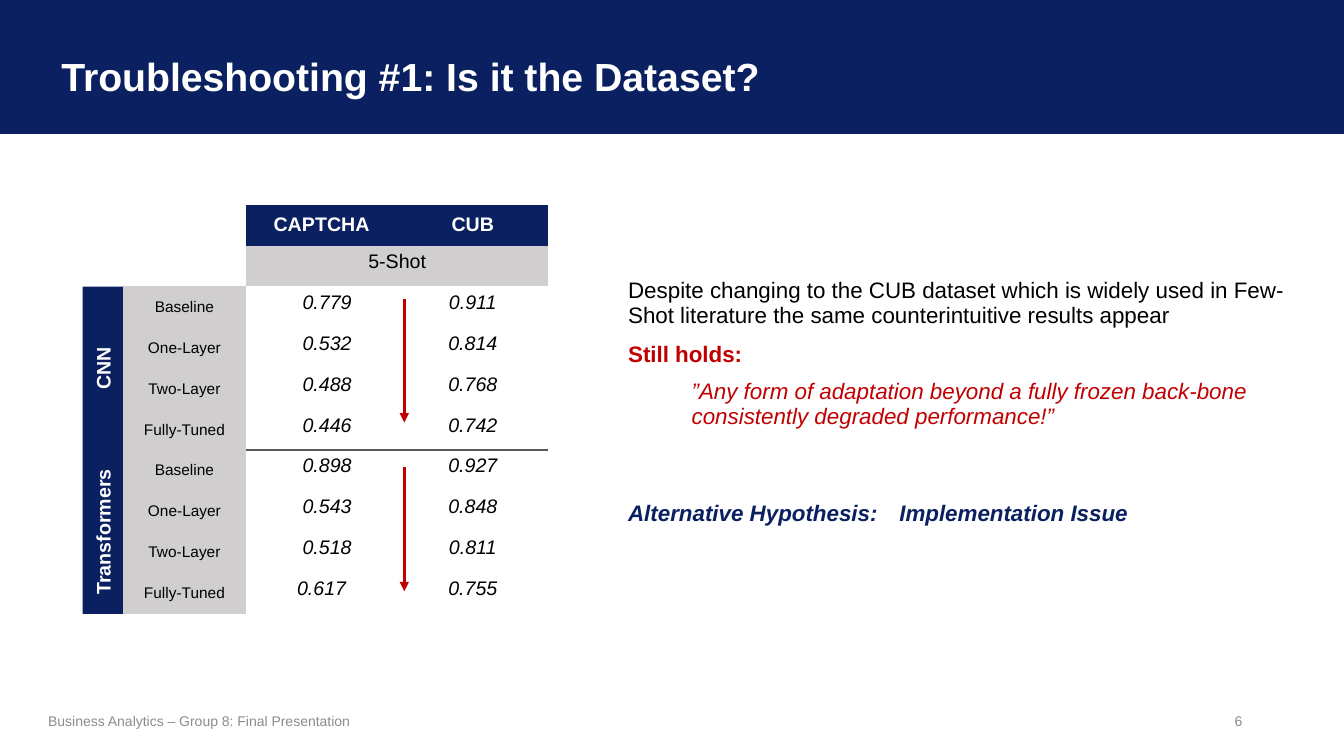
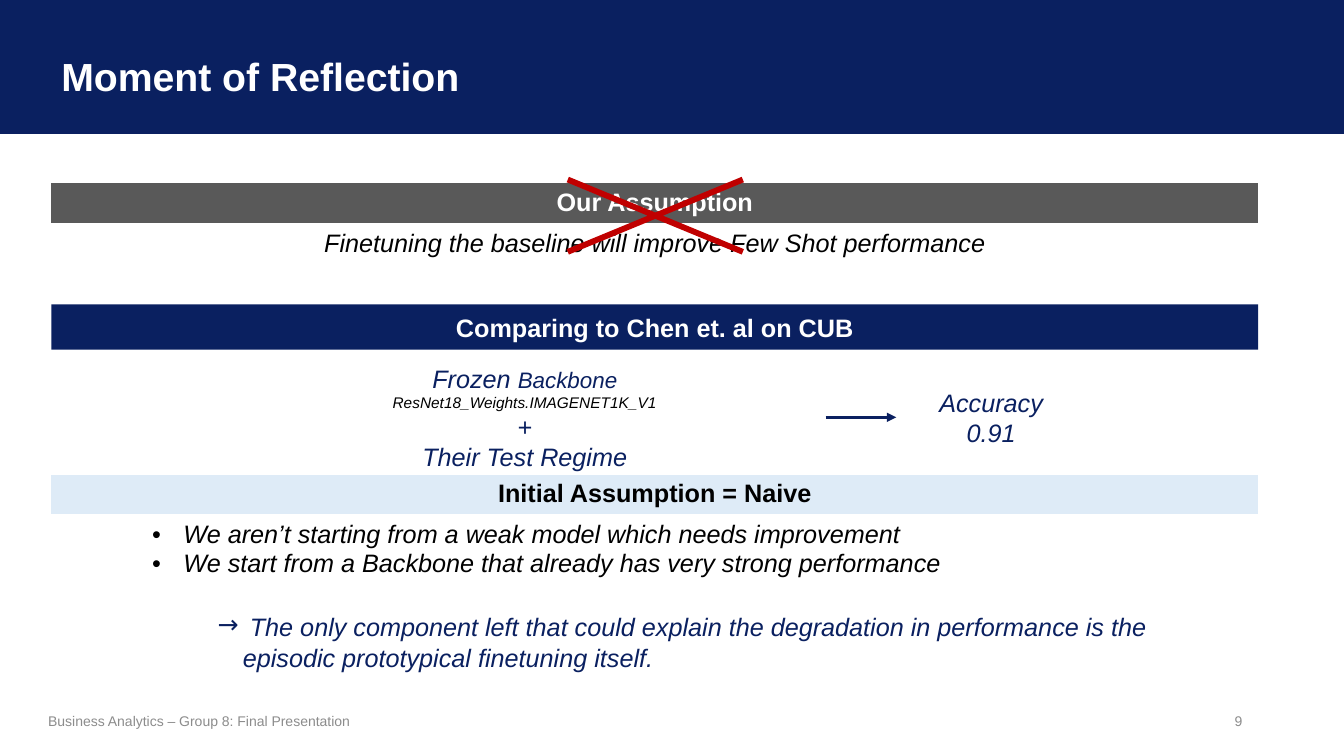
from lxml import etree
from pptx import Presentation
from pptx.dml.color import RGBColor
from pptx.enum import shapes, text
from pptx.oxml import ns
from pptx.util import Inches, Pt

NAVY, RED, WHITE, BLACK = "0A2060", "C00000", "FFFFFF", "000000"
GREY, SILVER, PALE, MUTED = "595959", "D0CECE", "DEEBF7", "8C8C8C"
PLAIN_TABLE = "{2D5ABB26-0587-4C30-8999-92F81FD0307C}"
LEFT, CENTER, RIGHT = text.PP_ALIGN.LEFT, text.PP_ALIGN.CENTER, text.PP_ALIGN.RIGHT
TOP, MIDDLE = text.MSO_ANCHOR.TOP, text.MSO_ANCHOR.MIDDLE
RECT = shapes.MSO_SHAPE.RECTANGLE

RESULTS = [
    ("Baseline", "0.779", "0.911"),
    ("One-Layer", "0.532", "0.814"),
    ("Two-Layer", "0.488", "0.768"),
    ("Fully-Tuned", "0.446", "0.742"),
    ("Baseline", "0.898", "0.927"),
    ("One-Layer", "0.543", "0.848"),
    ("Two-Layer", "0.518", "0.811"),
    ("Fully-Tuned", "0.617", "0.755"),
]


def rgb(value):
    """Turn a hex string into a colour."""
    return RGBColor.from_string(value)


def inches(box):
    """Convert a box of numbers to lengths."""
    return [Inches(value) for value in box]


def child(parent, tag, **attributes):
    """Append a drawing element with the given attributes."""
    return etree.SubElement(parent, ns.qn(tag), attributes)


def style_run(run, size, color, bold=False, italic=False, font="Arial"):
    """Format one run."""
    run.font.size, run.font.name = Pt(size), font
    run.font.bold, run.font.italic = bold, italic
    run.font.color.rgb = rgb(color)


def write(frame, lines, size, color, align=LEFT, **style):
    """Fill a text frame with one paragraph per line."""
    frame.text = "\n".join(lines)
    for paragraph in frame.paragraphs:
        paragraph.alignment = align
        for run in paragraph.runs:
            style_run(run, size, color, **style)


def indent(paragraph, first, left=0, bullet=None):
    """Set the indents of a paragraph and an optional bullet."""
    properties = paragraph._p.get_or_add_pPr()
    properties.set("marL", str(Inches(left)))
    properties.set("indent", str(Inches(first)))
    if bullet:
        child(properties, "a:buFont", typeface="Arial")
        child(properties, "a:buChar", char=bullet)


def add_text(slide, box, lines, size, color, anchor=TOP, **style):
    """Add a wrapping text box and return its frame."""
    frame = slide.shapes.add_textbox(*inches(box)).text_frame
    frame.word_wrap = True
    frame.vertical_anchor = anchor
    write(frame, lines, size, color, **style)
    return frame


def add_block(slide, box, fill, kind=RECT):
    """Add a filled shape without outline."""
    block = slide.shapes.add_shape(kind, *inches(box))
    block.shadow.inherit = False
    block.fill.solid()
    block.fill.fore_color.rgb = rgb(fill)
    block.line.fill.background()
    return block


def add_band(slide, box, label, size):
    """Add a navy band with a bold white label."""
    band = add_block(slide, box, NAVY)
    band.text_frame.vertical_anchor = MIDDLE
    write(band.text_frame, [label], size, WHITE, CENTER, bold=True)
    return band


def add_arrow(slide, start, end, color):
    """Add a straight arrow between two points."""
    arrow = slide.shapes.add_connector(
        shapes.MSO_CONNECTOR.STRAIGHT, *inches(start + end))
    arrow.line.width = Pt(2.25)
    arrow.line.color.rgb = rgb(color)
    child(arrow.line._get_or_add_ln(), "a:tailEnd", type="triangle")
    child(arrow._element.spPr, "a:effectLst")


def add_grid(slide, box, columns, rows):
    """Add an unstyled table with the given column widths and row heights."""
    table = slide.shapes.add_table(len(rows), len(columns), *inches(box)).table
    table._tbl.tblPr.find(ns.qn("a:tableStyleId")).text = PLAIN_TABLE
    table.first_row = table.horz_banding = False
    for column, width in zip(table.columns, columns):
        column.width = Inches(width)
    for row, height in zip(table.rows, rows):
        row.height = Inches(height)
    return table


def fill_cell(cell, lines, size, color, fill=None, anchor=TOP, **style):
    """Write and colour one table cell."""
    write(cell.text_frame, lines, size, color, **style)
    cell.vertical_anchor = anchor
    if fill:
        cell.fill.solid()
        cell.fill.fore_color.rgb = rgb(fill)
    else:
        cell.fill.background()


def underline(cell, color, width):
    """Draw the bottom border of a cell."""
    border = etree.Element(ns.qn("a:lnB"), w=str(Pt(width)))
    child(child(border, "a:solidFill"), "a:srgbClr", val=color)
    cell._tc.get_or_add_tcPr().insert(0, border)


def add_page(deck, title, number):
    """Add a slide with its title band and footer."""
    slide = deck.slides.add_slide(deck.slide_layouts[6])
    add_block(slide, (0, 0, 13.33, 1.33), NAVY)
    add_text(slide, (0.51, 0.33, 11.23, 0.84), [title], 28, WHITE, MIDDLE, bold=True)
    add_text(slide, (0.38, 6.95, 4.5, 0.4),
             ["Business Analytics – Group 8: Final Presentation"], 10, MUTED, MIDDLE)
    add_text(slide, (7.92, 6.95, 4.5, 0.4), [str(number)], 10, MUTED, MIDDLE, align=RIGHT)
    return slide


def add_results(slide, left, top, height):
    """Add the accuracy table with its side labels and trend arrows."""
    step = height / 10
    table = add_grid(slide, (left, top, 4.22, height), (1.22, 1.5, 1.5), [step] * 10)
    for column, dataset in enumerate(("CAPTCHA", "CUB"), 1):
        fill_cell(table.cell(0, column), [dataset], 14, WHITE, NAVY, MIDDLE,
                  align=CENTER, bold=True)
    table.cell(1, 1).merge(table.cell(1, 2))
    fill_cell(table.cell(1, 1), ["5-Shot"], 14, BLACK, SILVER, align=CENTER)
    for row, (setup, *scores) in enumerate(RESULTS, 2):
        fill_cell(table.cell(row, 0), [setup], 11, BLACK, SILVER, MIDDLE, align=CENTER)
        for column, score in enumerate(scores, 1):
            fill_cell(table.cell(row, column), [score], 14, BLACK,
                      align=CENTER, italic=True)
        if row < 9:
            table.cell(row, 1).margin_left = Inches(0.21)
    for column in (1, 2):
        underline(table.cell(5, column), GREY, 2.25)

    span, width = 4 * step, 0.4
    for group, family in enumerate(("CNN", "Transformers")):
        start = top + 2 * step + group * span
        label = add_band(slide, (left - (width + span) / 2, start + (span - width) / 2,
                                 span, width), family, 14)
        label.rotation = 270
        offset = 0.12 + 0.05 * group
        add_arrow(slide, (left + 2.79, start + offset),
                  (left + 2.79, start + offset + 1.23), RED)


def add_findings(slide, left, top):
    """Add the findings and the alternative hypothesis."""
    table = add_grid(slide, (left, top, 6.8, 3.05), (0.63, 2.06, 4.11),
                     (0.6, 0.35, 0.6, 1.5))
    for row, first, last in ((0, 0, 2), (1, 0, 2), (2, 1, 2), (3, 0, 1)):
        table.cell(row, first).merge(table.cell(row, last))
    fill_cell(table.cell(0, 0), [
        "Despite changing to the CUB dataset which is widely used in "
        "Few-Shot literature the same counterintuitive results appear"], 16, BLACK)
    fill_cell(table.cell(1, 0), ["Still holds:"], 16, RED, bold=True)
    fill_cell(table.cell(2, 1), [
        "”Any form of adaptation beyond a fully frozen back-bone "
        "consistently degraded performance!”"], 16, RED, italic=True)
    for column, phrase in ((0, "Alternative Hypothesis:"), (2, "Implementation Issue")):
        fill_cell(table.cell(3, column), [phrase], 16, NAVY, anchor=MIDDLE,
                  bold=True, italic=True)


def add_assumption(slide, left, top, width):
    """Add the crossed-out assumption."""
    table = add_grid(slide, (left, top, width, 0.82), [width], (0.41, 0.41))
    fill_cell(table.cell(0, 0), ["Our Assumption"], 18, WHITE, GREY,
              align=CENTER, bold=True)
    underline(table.cell(0, 0), WHITE, 3)
    fill_cell(table.cell(1, 0),
              ["Finetuning the baseline will improve Few Shot performance"],
              18, BLACK, align=CENTER, italic=True)


def add_cross(slide, box):
    """Add the red cross that rejects the assumption."""
    cross = add_block(slide, box, RED, shapes.MSO_SHAPE.MATH_MULTIPLY)
    cross.adjustments[0] = 0.042


def add_comparison(slide, left, top, width):
    """Add the comparison band, the setup and its accuracy."""
    add_band(slide, (left, top, width, 0.45), "Comparing to Chen et. al on CUB", 18)
    setup = add_text(slide, (left + 1.71, top + 0.53, 5.97, 1.19),
                     ["Frozen ", "ResNet18_Weights.IMAGENET1K_V1", "+",
                      "Their Test Regime"], 18, NAVY, align=CENTER, italic=True)
    backbone = setup.paragraphs[0].add_run()
    backbone.text = "Backbone"
    style_run(backbone, 16, NAVY, italic=True)
    style_run(setup.paragraphs[1].runs[0], 11, BLACK, italic=True)
    middle = top + 1.12
    add_arrow(slide, (left + 7.68, middle), (left + 8.38, middle), NAVY)
    add_text(slide, (left + 8.38, middle - 0.35, 1.88, 0.71), ["Accuracy", "0.91"],
             18, NAVY, align=CENTER, italic=True)


def add_conclusion(slide, left, top, width):
    """Add the verdict, its reasons and the conclusion."""
    table = add_grid(slide, (left, top, width, 1.1), (0.9, width - 0.9), (0.41, 0.69))
    table.cell(0, 0).merge(table.cell(0, 1))
    fill_cell(table.cell(0, 0), ["Initial Assumption = Naive"], 18, BLACK, PALE,
              align=CENTER, bold=True)
    for column in (0, 1):
        underline(table.cell(0, column), WHITE, 3)
    reasons = table.cell(1, 1)
    fill_cell(reasons, ["We aren’t starting from a weak model which needs improvement",
                        "We start from a Backbone that already has very strong performance"],
              18, BLACK, italic=True)
    for paragraph in reasons.text_frame.paragraphs:
        indent(paragraph, -0.31, 0.31, "•")
    cause = add_text(slide, (left + 1.8, top + 1.31, 9.52, 0.71), [
        "The only component left that could explain the degradation in "
        "performance is the episodic prototypical finetuning itself."],
        18, NAVY, italic=True)
    indent(cause.paragraphs[0], 0.07)
    add_text(slide, (left + 1.55, top + 1.28, 0.5, 0.4), ["→"], 18, NAVY,
             italic=True, font="Roboto")


def build_dataset_slide(deck):
    """Build the slide on the dataset check."""
    slide = add_page(deck, "Troubleshooting #1: Is it the Dataset?", 6)
    add_results(slide, 1.22, 2.03, 4.06)
    add_findings(slide, 6.13, 2.71)


def build_reflection_slide(deck):
    """Build the slide on the rejected assumption."""
    slide = add_page(deck, "Moment of Reflection", 9)
    left, width = 0.51, 11.97
    add_assumption(slide, left, 1.82, width)
    add_comparison(slide, left, 3.02, width)
    add_conclusion(slide, left, 4.71, width)
    add_cross(slide, (4.83, 1.45, 3.34, 1.38))


def main():
    """Build and save the presentation."""
    deck = Presentation()
    deck.slide_width, deck.slide_height = inches((13.33, 7.5))
    build_dataset_slide(deck)
    build_reflection_slide(deck)
    deck.save("out.pptx")


if __name__ == "__main__":
    main()
